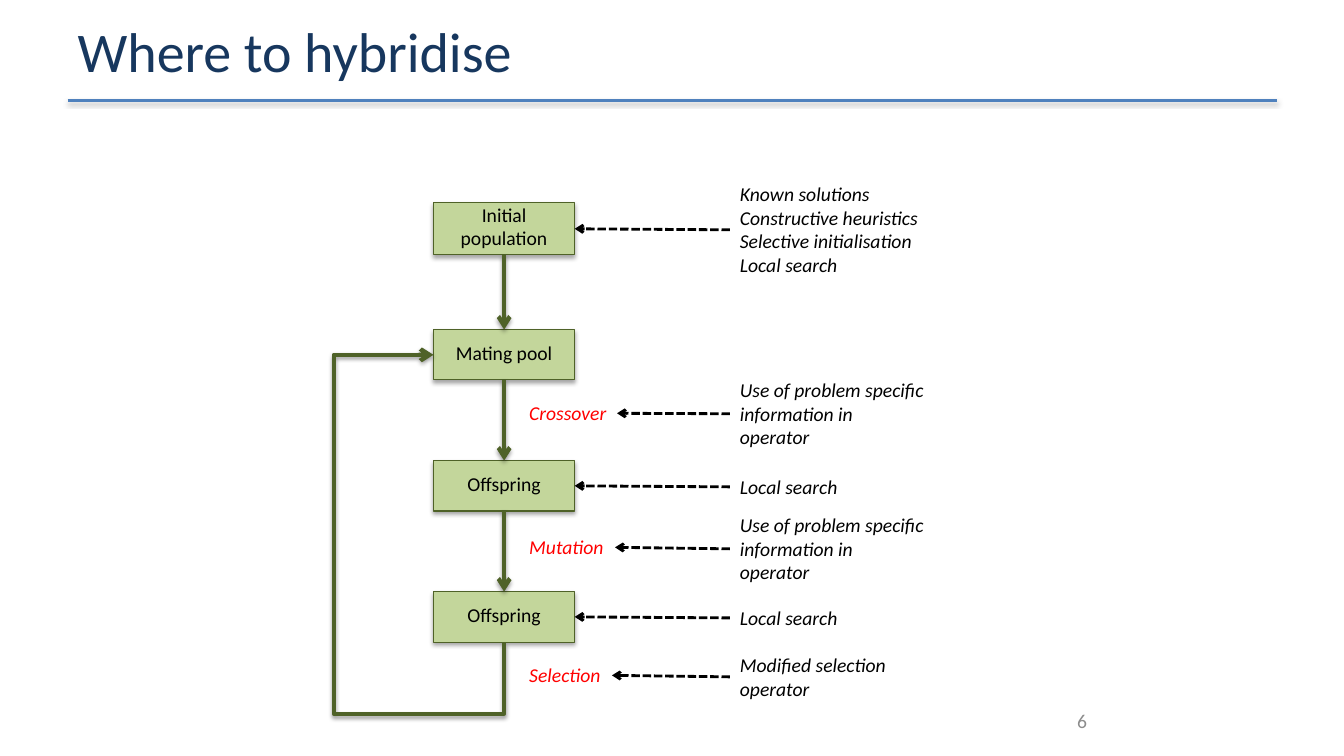
import pptx
import pptx.util
import pptx.dml.color
import pptx.enum.dml
import pptx.enum.shapes
import pptx.enum.text
import pptx.oxml.ns
import lxml.etree

COLORS = {
    "title": "17375E", "rule": "4F81BD", "box": "C3D69B", "flow": "4F6228",
    "operator": "FF0000", "text": "000000", "number": "8C8C8C", "shadow": "000000",
}
FONT = "Calibri"
PX = 9144
ALIGN = pptx.enum.text.PP_ALIGN
ANCHOR = pptx.enum.text.MSO_ANCHOR
AUTO_SIZE = pptx.enum.text.MSO_AUTO_SIZE
CONNECTOR = pptx.enum.shapes.MSO_CONNECTOR
TOP, LEFT, BOTTOM, RIGHT = range(4)

STAGES = [
    ("Initial population", 25, 52),
    ("Mating pool", 151, 50),
    ("Offspring", 281, 50),
    ("Offspring", 411, 50),
]
OPERATORS = [("Crossover", 217, 97), ("Mutation", 350, 95), ("Selection", 477, 92)]
OPERATOR_NOTE = "Use of problem specific information in operator"
NOTES = [
    ("Known solutions\nConstructive heuristics\nSelective initialisation\nLocal search",
     0, 203, 104, False, "stage", 0),
    (OPERATOR_NOTE, 194, 204, 81, True, "operator", 0),
    ("Local search", 290, 118, 34, False, "stage", 2),
    (OPERATOR_NOTE, 328, 204, 81, True, "operator", 1),
    ("Local search", 420, 118, 34, False, "stage", 3),
    ("Modified selection\noperator", 467, 204, 57, True, "operator", 2),
]


def px(*lengths):
    return [round(length * PX) for length in lengths]


def rgb(name):
    return pptx.dml.color.RGBColor.from_string(COLORS[name])


def add_element(parent, tag, **attributes):
    element = lxml.etree.SubElement(parent, pptx.oxml.ns.qn(tag))
    for key, value in attributes.items():
        element.set(key, str(value))
    return element


def add_shadow(effects, alpha, distance):
    shadow = add_element(effects, "a:outerShdw", blurRad=40000, dist=distance,
                         dir=5400000, rotWithShape=0)
    color = add_element(shadow, "a:srgbClr", val=COLORS["shadow"])
    add_element(color, "a:alpha", val=alpha * 1000)


def write_text(shape, text, size=14, color="text", italic=False, align=ALIGN.LEFT,
               anchor=ANCHOR.TOP, wrap=True, grow=False, insets=(10, 5, 10, 5)):
    frame = shape.text_frame
    frame.text = text
    frame.word_wrap = wrap
    frame.vertical_anchor = anchor
    frame.auto_size = AUTO_SIZE.SHAPE_TO_FIT_TEXT if grow else AUTO_SIZE.NONE
    (frame.margin_left, frame.margin_top,
     frame.margin_right, frame.margin_bottom) = px(*insets)
    for paragraph in frame.paragraphs:
        paragraph.alignment = align
        font = paragraph.runs[0].font
        font.name = FONT
        font.size = pptx.util.Pt(size)
        font.italic = italic
        font.color.rgb = rgb(color)


def add_text(slide, box, text, **text_format):
    shape = slide.shapes.add_textbox(*px(*box))
    write_text(shape, text, **text_format)
    return shape


def add_line(slide, points=(0, 0, 0, 0), color="flow", width=3, kind=CONNECTOR.STRAIGHT,
             dashed=False, arrow=True, shadow=True):
    line = slide.shapes.add_connector(kind, *px(*points))
    line.line.color.rgb = rgb(color)
    line.line.width = pptx.util.Pt(width)
    if dashed:
        line.line.dash_style = pptx.enum.dml.MSO_LINE.SQUARE_DOT
    properties = line._element.spPr
    if arrow:
        outline = properties.find(pptx.oxml.ns.qn("a:ln"))
        add_element(outline, "a:tailEnd", type="arrow")
    effects = add_element(properties, "a:effectLst")
    if shadow:
        add_shadow(effects, 38, 20000)
    return line


def join(line, start, start_side, end, end_side):
    line.begin_connect(start, start_side)
    line.end_connect(end, end_side)


def add_stage(slide, box, text, grow):
    shape = slide.shapes.add_shape(pptx.enum.shapes.MSO_SHAPE.RECTANGLE, *px(*box))
    shape.shadow.inherit = False
    shape.fill.solid()
    shape.fill.fore_color.rgb = rgb("box")
    shape.line.color.rgb = rgb("flow")
    shape.line.width = pptx.util.Pt(0.75)
    add_shadow(shape._element.spPr.find(pptx.oxml.ns.qn("a:effectLst")), 35, 23000)
    write_text(shape, text, align=ALIGN.CENTER, anchor=ANCHOR.MIDDLE, grow=grow,
               insets=(10, 0, 10, 5))
    return shape


def add_loop(slide, start, end, reach_left, reach_bottom):
    start_x, start_y = start
    end_x, end_y = end
    length, depth = start_y - end_y, start_x - end_x
    center_x, center_y = (start_x + end_x) / 2, (start_y + end_y) / 2
    loop = add_line(slide, (center_x + length / 2, center_y - depth / 2,
                            center_x - length / 2, center_y + depth / 2),
                    kind=CONNECTOR.ELBOW)
    properties = loop._element.spPr
    properties.find(pptx.oxml.ns.qn("a:xfrm")).set("rot", "5400000")
    geometry = properties.find(pptx.oxml.ns.qn("a:prstGeom"))
    geometry.set("prst", "bentConnector4")
    guides = geometry.find(pptx.oxml.ns.qn("a:avLst"))
    if guides is None:
        guides = add_element(geometry, "a:avLst")
    ratios = ((start_y - reach_bottom) / length, (start_x - reach_left) / depth)
    for number, ratio in enumerate(ratios, 1):
        add_element(guides, "a:gd", name=f"adj{number}",
                    fmla=f"val {round(ratio * 100000)}")


def draw_header(slide, box):
    left, top, width, height = box
    add_line(slide, (left, top + height, left + width, top + height), "rule", 2,
             arrow=False)
    title = slide.shapes.title
    title.left, title.top, title.width, title.height = px(left, top, width, height - 3)
    write_text(title, "Where to hybridise", size=40, color="title",
               anchor=ANCHOR.MIDDLE, insets=(10, 0, 10, 0))


def draw_flow(slide, box):
    left, top, width, height = box
    stage_left, stage_width = left + 99, 140
    stages = [add_stage(slide, (stage_left, top + offset, stage_width, tall), text,
                        grow=index == 0)
              for index, (text, offset, tall) in enumerate(STAGES)]
    for upper, lower in zip(stages, stages[1:]):
        join(add_line(slide), upper, BOTTOM, lower, TOP)

    pool_top, pool_height = STAGES[1][1:]
    last_top, last_height = STAGES[-1][1:]
    add_loop(slide, (stage_left + stage_width / 2, top + last_top + last_height),
             (stage_left, top + pool_top + pool_height / 2), left, top + height)

    operators = [add_text(slide, (left + 184, top + offset, wide, 34), text,
                          color="operator", italic=True, wrap=False, grow=True)
                 for text, offset, wide in OPERATORS]
    targets = {"stage": stages, "operator": operators}
    for text, offset, wide, tall, wrap, kind, index in NOTES:
        note = add_text(slide, (left + 393, top + offset, wide, tall), text,
                        italic=True, wrap=wrap, grow=True)
        arrow = add_line(slide, color="text", width=2, dashed=True, shadow=False)
        join(arrow, note, LEFT, targets[kind][index], RIGHT)


def draw_page_number(slide, box):
    add_text(slide, box, "6", color="number", align=ALIGN.RIGHT, anchor=ANCHOR.MIDDLE)


def main():
    presentation = pptx.Presentation()
    presentation.slide_width, presentation.slide_height = px(1333, 750)
    slide = presentation.slides.add_slide(presentation.slide_layouts[5])
    draw_header(slide, (67, 2, 1200, 98))
    draw_flow(slide, (331, 176, 597, 532))
    draw_page_number(slide, (985, 687, 103, 55))
    presentation.save("out.pptx")


if __name__ == "__main__":
    main()
